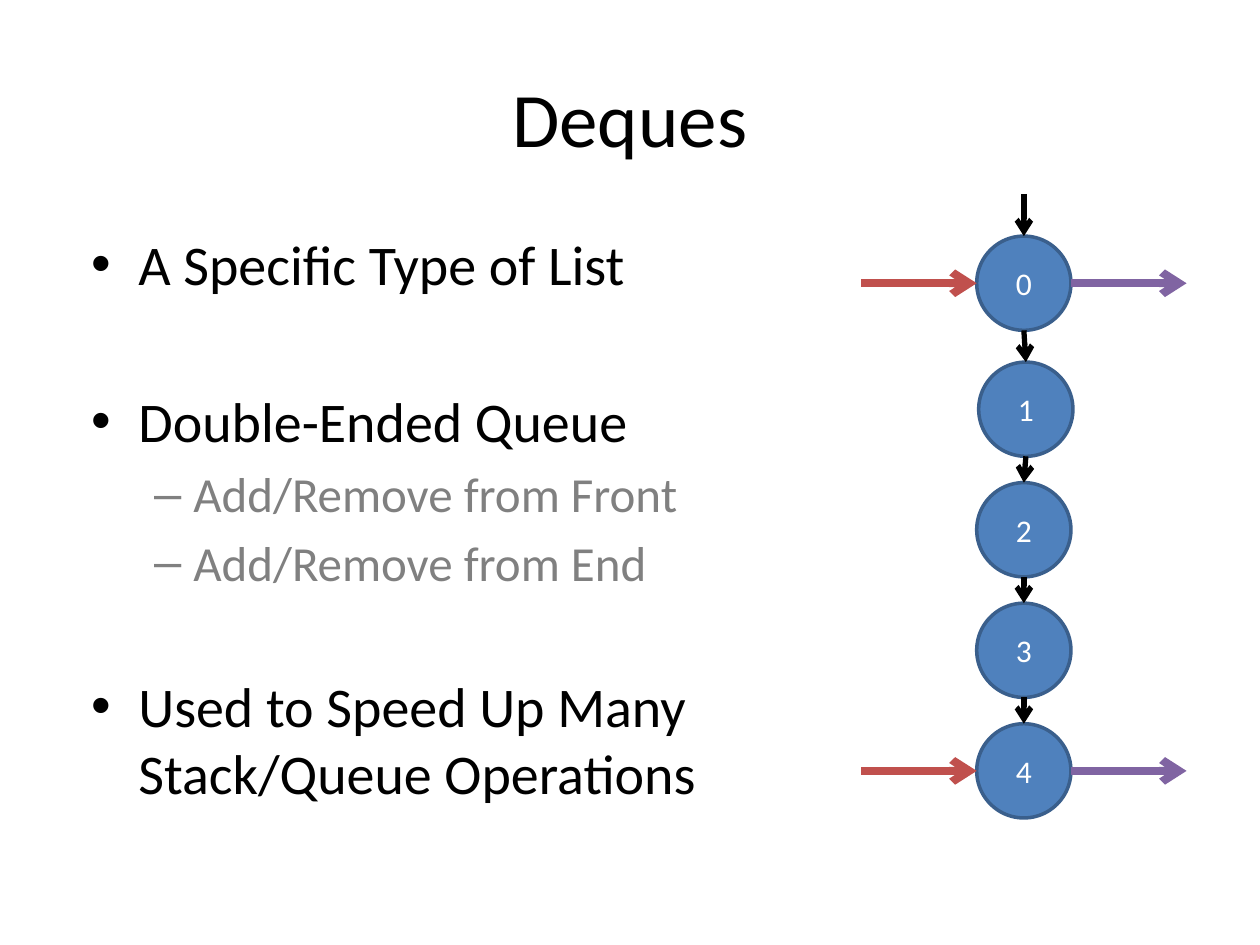
from dataclasses import dataclass

from lxml import etree
from pptx import Presentation
from pptx.dml.color import RGBColor
from pptx.enum.shapes import MSO_CONNECTOR as Link, MSO_SHAPE as Shape
from pptx.enum.text import MSO_ANCHOR as Anchor, PP_ALIGN as Align
from pptx.oxml.ns import qn
from pptx.util import Cm, Pt


@dataclass(frozen=True)
class Theme:
    font: str = "Calibri"
    text: str = "000000"
    muted: str = "808080"
    node: str = "4F81BD"
    node_edge: str = "3A5F8C"
    node_text: str = "FFFFFF"
    add: str = "C0504D"
    remove: str = "8064A2"
    title_size: float = 44
    point_size: float = 32
    detail_size: float = 28
    node_size: float = 18


theme = Theme()


def write(para, text, *, size, color=theme.text, align=Align.LEFT,
          before=0, bullet=None, indent=0, hanging=0):
    """Put one formatted span in a paragraph; indents are in cm."""
    para.alignment = align
    para.space_before = Pt(before)
    span = para.add_run()
    span.text = text
    span.font.name = theme.font
    span.font.size = Pt(size)
    span.font.color.rgb = RGBColor.from_string(color)
    if bullet:
        props = para._p.get_or_add_pPr()
        props.set("marL", str(Cm(indent)))
        props.set("indent", str(-Cm(hanging)))
        etree.SubElement(props, qn("a:buFont"), typeface="Arial")
        etree.SubElement(props, qn("a:buChar"), char=bullet)


def draw_arrow(start, end, color, width):
    """Draw an open-headed arrow between two (x, y) points in cm."""
    arrow = page.shapes.add_connector(Link.STRAIGHT, *map(Cm, start + end))
    arrow.line.color.rgb = RGBColor.from_string(color)
    arrow.line.width = Pt(width)
    props = arrow._element.spPr
    etree.SubElement(props.find(qn("a:ln")), qn("a:tailEnd"), type="arrow")
    etree.SubElement(props, qn("a:effectLst"))


deck = Presentation()
deck.slide_width, deck.slide_height = Cm(25.4), Cm(19.05)
page = deck.slides.add_slide(deck.slide_layouts[6])

# Title
box = page.shapes.add_textbox(Cm(1.27), Cm(0.76), Cm(22.86), Cm(3.18))
box.text_frame.word_wrap = True
box.text_frame.vertical_anchor = Anchor.MIDDLE
write(box.text_frame.paragraphs[0], "Deques", size=theme.title_size, align=Align.CENTER)

# Points: level, text, space before in points
points = [
    (0, "A Specific Type of List", 6.4),
    (0, "Double-Ended Queue", 51.5),
    (1, "Add/Remove from Front", 5.6),
    (1, "Add/Remove from End", 5.6),
    (0, "Used to Speed Up Many Stack/Queue Operations", 46),
]
levels = [
    dict(size=theme.point_size, bullet="•", indent=0.95, hanging=0.95),
    dict(size=theme.detail_size, color=theme.muted, bullet="–", indent=2.06, hanging=0.79),
]
box = page.shapes.add_textbox(Cm(1.59), Cm(4.5), Cm(13.34), Cm(12.01))
frame = box.text_frame
frame.word_wrap = True
for index, (level, text, before) in enumerate(points):
    para = frame.add_paragraph() if index else frame.paragraphs[0]
    para.level = level
    write(para, text, before=before, **levels[level])

# Nodes: the first stands apart, the rest are evenly spaced
diameter = 1.9
radius = diameter / 2
column = 19.69
nodes = [(column, 4.76)] + [(column, 7.3 + 2.43 * step) for step in range(4)]
nodes[1] = (column + 0.04, nodes[1][1])
for number, (left, top) in enumerate(nodes):
    node = page.shapes.add_shape(Shape.OVAL, Cm(left), Cm(top), Cm(diameter), Cm(diameter))
    node.shadow.inherit = False
    node.fill.solid()
    node.fill.fore_color.rgb = RGBColor.from_string(theme.node)
    node.line.color.rgb = RGBColor.from_string(theme.node_edge)
    node.line.width = Pt(2)
    node.text_frame.vertical_anchor = Anchor.MIDDLE
    write(node.text_frame.paragraphs[0], str(number), size=theme.node_size,
          color=theme.node_text, align=Align.CENTER)

# Links down the list, starting with the one into the head
tops = [(left + radius, top) for left, top in nodes]
bottoms = [(x, y + diameter) for x, y in tops]
starts = [(tops[0][0], 3.91)] + bottoms[:-1]
for start, end in zip(starts, tops):
    draw_arrow(start, end, theme.text, 3)

# Add and remove arrows at both ends
reach = 2.33
for left, top in (nodes[0], nodes[-1]):
    middle, right = top + radius, left + diameter
    draw_arrow((left - reach, middle), (left, middle), theme.add, 4.5)
    draw_arrow((right, middle), (right + reach, middle), theme.remove, 4.5)

deck.save("out.pptx")
